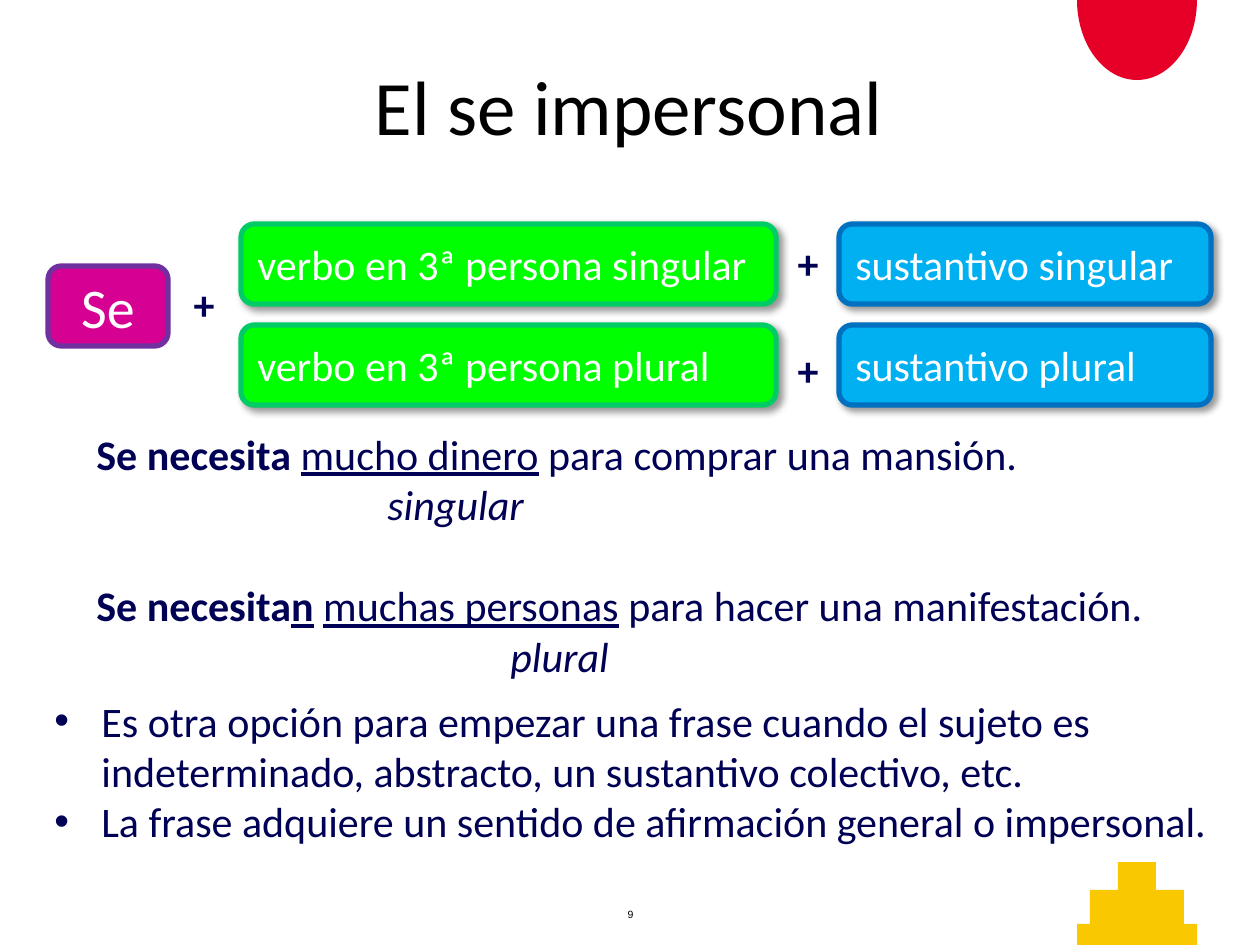
from math import cos, pi, sin

from lxml.etree import SubElement
from pptx import Presentation
from pptx.dml.color import RGBColor
from pptx.enum.shapes import MSO_SHAPE
from pptx.enum.text import MSO_ANCHOR, PP_ALIGN
from pptx.oxml.ns import qn
from pptx.util import Pt

EMU_PER_PX = 914400 / 126
COLOURS = {
    "ink": "000054", "black": "000000", "white": "FFFFFF",
    "red": "E60028", "yellow": "FAC800",
    "magenta": "D60093", "purple": "7030A0",
    "green": "00FF00", "dark_green": "00CC66",
    "blue": "00B0F0", "dark_blue": "0070C0",
}


def px(length):
    return round(length * EMU_PER_PX)


def colour(name):
    return RGBColor.from_string(COLOURS[name])


def write(para, text, ink="ink", **formats):
    """Add one span of text to a paragraph."""
    span = para.add_run()
    span.text = text
    values = {"name": "Calibri", "size": Pt(24), **formats}
    for name, value in values.items():
        setattr(span.font, name, value)
    span.font.color.rgb = colour(ink)


def set_indent(para, left, first=0):
    properties = para._p.get_or_add_pPr()
    properties.set("marL", str(px(left)))
    properties.set("indent", str(px(first)))
    return properties


def add_text_box(page, box, wrap=True, anchor=MSO_ANCHOR.TOP):
    frame = page.shapes.add_textbox(*map(px, box)).text_frame
    frame.word_wrap = wrap
    frame.vertical_anchor = anchor
    return frame


def add_label(page, box, text, ink="ink", wrap=True, **formats):
    """One centred line of text."""
    para = add_text_box(page, box, wrap, MSO_ANCHOR.MIDDLE).paragraphs[0]
    para.alignment = PP_ALIGN.CENTER
    write(para, text, ink, **formats)


def add_outline(page, points, fill):
    points = [(px(x), px(y)) for x, y in points]
    builder = page.shapes.build_freeform(*points[0])
    builder.add_line_segments(points[1:], close=True)
    shape = builder.convert_to_shape()
    shape.shadow.inherit = False
    shape.fill.solid()
    shape.fill.fore_color.rgb = colour(fill)
    shape.line.fill.background()


def add_half_disc(page, box):
    left, top, width, height = box
    steps = 48
    angles = [pi * step / steps for step in range(steps + 1)]
    points = [(left + width / 2 * (1 + cos(angle)), top + height * sin(angle))
              for angle in angles]
    add_outline(page, points, "red")


def add_pyramid(page, box):
    left, top, width, height = box
    # Each step: inset from the side, then its upper and lower edge
    steps = [(0, height, 62), (13, 62, 28), (41, 28, 0)]
    side = [(inset, y) for inset, *edges in steps for y in edges]
    points = [(left + x, top + y) for x, y in side]
    points += [(left + width - x, top + y) for x, y in reversed(side)]
    add_outline(page, points, "yellow")


def add_soft_shadow(shape):
    effects = shape._element.spPr.find(qn("a:effectLst"))
    shadow = SubElement(effects, qn("a:outerShdw"), blurRad=str(Pt(4)),
                        dist=str(Pt(3)), dir="2700000", algn="tl",
                        rotWithShape="0")
    tint = SubElement(shadow, qn("a:srgbClr"), val=COLOURS["black"])
    SubElement(tint, qn("a:alpha"), val="40000")


def add_tile(page, box, text, fill, edge, size=24,
             align=PP_ALIGN.LEFT, shadow=True):
    shape = page.shapes.add_shape(MSO_SHAPE.ROUNDED_RECTANGLE, *map(px, box))
    shape.shadow.inherit = False
    shape.fill.solid()
    shape.fill.fore_color.rgb = colour(fill)
    shape.line.color.rgb = colour(edge)
    shape.line.width = Pt(3)
    if shadow:
        add_soft_shadow(shape)
    frame = shape.text_frame
    frame.word_wrap = True
    frame.vertical_anchor = MSO_ANCHOR.MIDDLE
    para = frame.paragraphs[0]
    para.alignment = align
    write(para, text, "white", size=Pt(size))


def add_formula(page, box):
    """Se + verb + noun, with a row for each number."""
    left, top, width, height = box
    tile_height, noun_width = 80, 372
    row_pitch = height - tile_height

    def add_plus(x, y):
        add_label(page, (left + x, top + y, 106, 63), "+", bold=True)

    add_tile(page, (left, top + 42, 120, tile_height), "Se", "magenta",
             "purple", 32, PP_ALIGN.CENTER, shadow=False)
    add_plus(103, 48)
    for row, (number, plus_offset) in enumerate([("singular", 7), ("plural", 13)]):
        y = row * row_pitch
        add_tile(page, (left + 193, top + y, 535, tile_height),
                 f"verbo en 3ª persona {number}", "green", "dark_green")
        add_tile(page, (left + width - noun_width, top + y, noun_width, tile_height),
                 f"sustantivo {number}", "blue", "dark_blue")
        add_plus(707, y + plus_offset)


def add_examples(page, box):
    """Each sentence has its grammatical number written below the noun."""
    bold, underline = {"bold": True}, {"underline": True}
    examples = [
        ([("Se necesita ", bold), ("mucho dinero", underline),
          (" para comprar una mansión.", {})], "singular", 291),
        ([("Se necesita", bold), ("n", {**bold, **underline}), (" ", bold),
          ("muchas personas", underline),
          (" para hacer una manifestación.", {})], "plural", 414),
    ]
    frame = add_text_box(page, box)
    for index, (spans, number, indent) in enumerate(examples):
        para = frame.add_paragraph() if index else frame.paragraphs[0]
        if index:
            para.space_before = Pt(29)
        for text, formats in spans:
            write(para, text, **formats)
        note = frame.add_paragraph()
        set_indent(note, indent)
        write(note, number, italic=True)


def add_bullets(page, box):
    lines = [
        "Es otra opción para empezar una frase cuando el sujeto es "
        "indeterminado, abstracto, un sustantivo colectivo, etc.",
        "La frase adquiere un sentido de afirmación general o impersonal.",
    ]
    frame = add_text_box(page, box)
    for index, line in enumerate(lines):
        para = frame.add_paragraph() if index else frame.paragraphs[0]
        properties = set_indent(para, 47, -47)
        SubElement(properties, qn("a:buFont"), typeface="Arial")
        SubElement(properties, qn("a:buChar"), char="•")
        write(para, line)


def main():
    deck = Presentation()
    deck.slide_width, deck.slide_height = px(1260), px(945)
    page = deck.slides.add_slide(deck.slide_layouts[6])

    # Decoration and page number
    add_half_disc(page, (1077, 0, 120, 80))
    add_pyramid(page, (1077, 862, 120, 83))
    add_label(page, (611, 902, 39, 25), "9", "black", wrap=False,
              name="Arial", size=Pt(6))

    # Content
    add_label(page, (62, 26, 1134, 158), "El se impersonal", "black", size=Pt(44))
    add_formula(page, (48, 224, 1163, 181))
    add_examples(page, (84, 422, 1176, 267))
    add_bullets(page, (42, 689, 1193, 165))

    deck.save("out.pptx")


if __name__ == "__main__":
    main()
